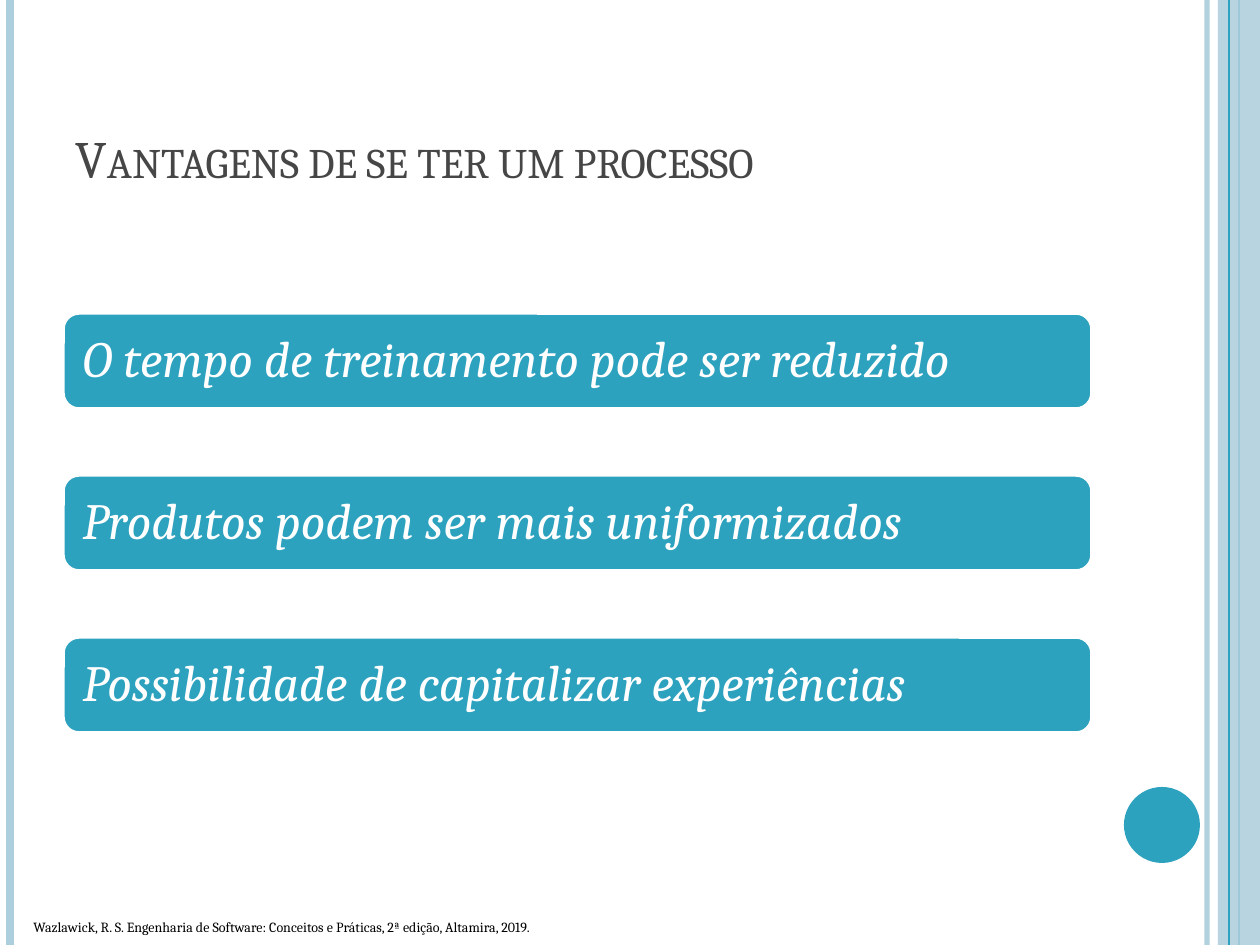
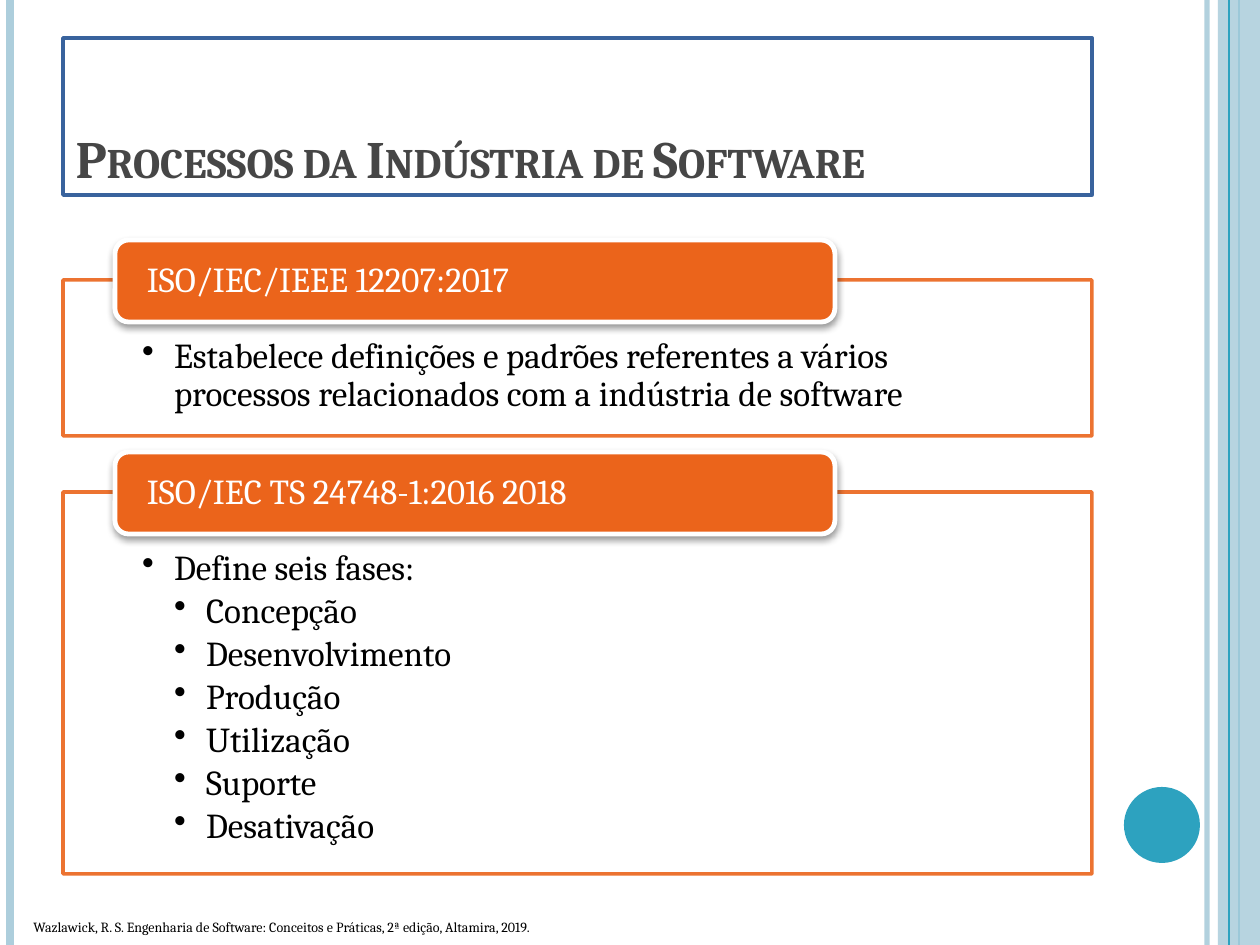
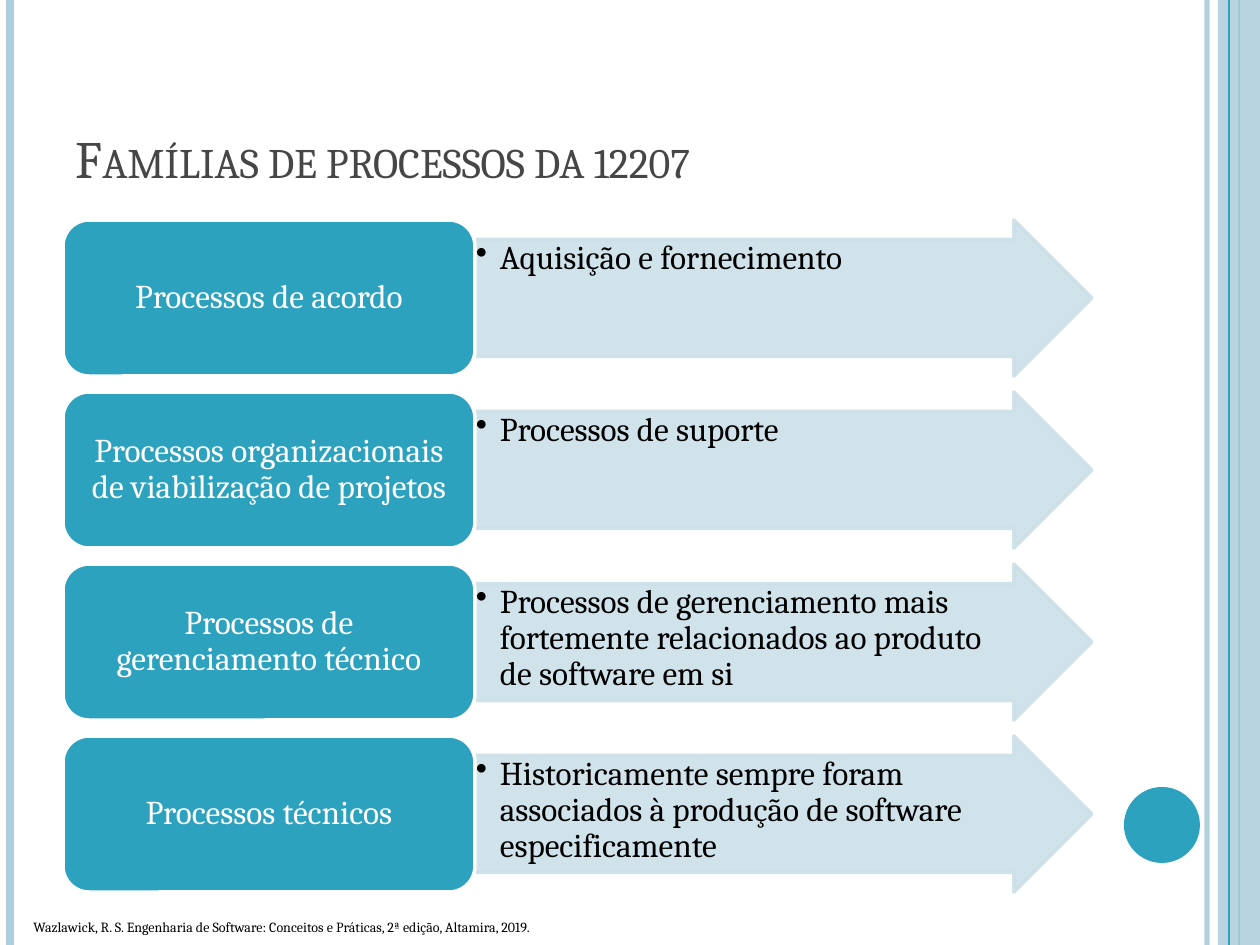
from lxml import etree
from pptx import Presentation
from pptx import util as u
from pptx.dml import color
from pptx.enum import shapes, text
from pptx.oxml import ns

PX_PER_INCH = 126
W, H = 1260, 945
FONT = "Cambria"
TEAL, PALE, ARROW, ORANGE = "2DA2BF", "ADCEDC", "CDE0E8", "EB641B"
WHITE, BLACK, GREY, BLUE = "FFFFFF", "000000", "464646", "39639D"
LEFT, WIDTH = 63, 1029  # content column shared by titles and diagrams
SOURCE = ("Wazlawick, R. S. Engenharia de Software: Conceitos e Práticas, "
          "2ª edição, Altamira, 2019.")
KIND = shapes.MSO_SHAPE
ALIGN = text.PP_ALIGN
ANCHOR = text.MSO_ANCHOR


def px(n):
    return u.Emu(round(n * u.Inches(1) / PX_PER_INCH))


def rgb(value):
    return color.RGBColor.from_string(value)


def sub(parent, tag, **attrs):
    """Append a DrawingML child with the given attributes."""
    el = etree.SubElement(parent, ns.qn(tag))
    for name, value in attrs.items():
        el.set(name, str(value))
    return el


def set_alpha(sp, percent):
    """Apply one opacity to the fill and line colours of a shape."""
    for clr in sp.element.spPr.iter(ns.qn("a:srgbClr")):
        sub(clr, "a:alpha", val=percent * 1000)


def write(sp, items, size=20, ink=BLACK, bold=False, italic=False, small=False,
          align=ALIGN.LEFT, anchor=ANCHOR.TOP, inset=None, indent=0,
          spacing=None, after=0, wrap=True):
    """Fill a shape with text; items are strings or (string, level) pairs."""
    tf = sp.text_frame
    tf.word_wrap = wrap
    tf.auto_size = text.MSO_AUTO_SIZE.NONE
    tf.vertical_anchor = anchor
    if inset:
        (tf.margin_left, tf.margin_top,
         tf.margin_right, tf.margin_bottom) = map(px, inset)
    for i, item in enumerate([items] if isinstance(items, str) else items):
        words, level = item if isinstance(item, tuple) else (item, 1)
        p = tf.add_paragraph() if i else tf.paragraphs[0]
        p.alignment = align
        p.line_spacing = spacing
        p.space_after = u.Pt(after)
        if indent:  # bulleted paragraph
            pPr = p._p.get_or_add_pPr()
            pPr.set("marL", str(px(indent * level)))
            pPr.set("indent", str(-px(indent)))
            sub(pPr, "a:buChar", char="•")
        r = p.add_run()
        r.text = words
        f = r.font
        f.name, f.size, f.bold, f.italic = FONT, u.Pt(size), bold, italic
        f.color.rgb = rgb(ink)
        if small:
            r._r.get_or_add_rPr().set("cap", "small")


class Deck:
    def __init__(self):
        self.prs = Presentation()
        self.prs.slide_width, self.prs.slide_height = px(W), px(H)
        self.s = None

    def slide(self, title, bold=False, frame=None):
        """Start a slide with its title and the shared decoration."""
        self.s = self.prs.slides.add_slide(self.prs.slide_layouts[5])
        sp = self.s.shapes.title
        sp.left, sp.top, sp.width, sp.height = map(px, (LEFT, 38, WIDTH, 157))
        if frame:
            self.paint(sp, WHITE, frame, 2)
        write(sp, title, size=30, ink=GREY, bold=bold, small=True,
              anchor=ANCHOR.BOTTOM)
        # Side bands
        self.rule(1207, PALE, 3, alpha=93)
        self.rule(10, PALE, 4.5)
        self.rule(1239, TEAL, 1.5)
        self.shape(KIND.RECTANGLE, 1218, 0, 42, H, PALE, alpha=87)
        self.rule(1229, TEAL, 0.75)
        # Disc and footer
        self.shape(KIND.OVAL, 1124, 787, 76, 76, TEAL)
        box = self.s.shapes.add_textbox(*map(px, (21, 912, 609, 30)))
        write(box, SOURCE, size=8, wrap=False)

    def paint(self, sp, fill, line=None, weight=2):
        sp.fill.solid()
        sp.fill.fore_color.rgb = rgb(fill)
        if line:
            sp.line.color.rgb = rgb(line)
            sp.line.width = u.Pt(weight)
        else:
            sp.line.fill.background()

    def rule(self, x, ink, weight, alpha=None):
        """Vertical line over the full slide height."""
        c = self.s.shapes.add_connector(
            shapes.MSO_CONNECTOR.STRAIGHT, px(x), 0, px(x), px(H))
        c.line.color.rgb = rgb(ink)
        c.line.width = u.Pt(weight)
        sub(c.element.spPr, "a:effectLst")
        if alpha:
            set_alpha(c, alpha)

    def shape(self, kind, x, y, w, h, fill, line=None, weight=2,
              alpha=None, shadow=False):
        sp = self.s.shapes.add_shape(kind, *map(px, (x, y, w, h)))
        self.paint(sp, fill, line, weight)
        if alpha:
            set_alpha(sp, alpha)
        sp.shadow.inherit = False
        if shadow:
            effects = sp.element.spPr.find(ns.qn("a:effectLst"))
            outer = sub(effects, "a:outerShdw", blurRad=u.Pt(4), dist=u.Pt(2),
                        dir=90 * 60000, rotWithShape=0)
            sub(sub(outer, "a:srgbClr", val=BLACK), "a:alpha", val=40000)
        return sp

    def bar(self, y, words):
        sp = self.shape(KIND.ROUNDED_RECTANGLE, LEFT, y, WIDTH, 96, TEAL, WHITE)
        write(sp, words, size=29, ink=WHITE, italic=True, spacing=0.9,
              anchor=ANCHOR.MIDDLE, inset=(15, 15, 15, 15))

    def standard(self, y, h, name, points):
        """Framed list with a heading tab over its top edge."""
        body = self.shape(KIND.RECTANGLE, LEFT, y, WIDTH, h, WHITE, ORANGE,
                          alpha=90)
        write(body, points, spacing=0.9, after=3, indent=32,
              inset=(79, 58, 79, 20))
        tab = self.shape(KIND.ROUNDED_RECTANGLE, 115, y - 40, 720, 82, ORANGE,
                         WHITE, 2.75, shadow=True)
        write(tab, name, ink=WHITE, spacing=0.9, anchor=ANCHOR.MIDDLE,
              inset=(28, 0, 28, 0))

    def family(self, y, name, detail):
        """Name block followed by an arrow with its description."""
        block_w, h = 412, 156
        arrow = self.shape(KIND.RIGHT_ARROW, LEFT + block_w, y,
                           WIDTH - block_w, h, ARROW, ARROW, alpha=90)
        arrow.adjustments[0], arrow.adjustments[1] = 0.75, 0.5
        write(arrow, detail, size=19, spacing=0.9, indent=24,
              inset=(1, 1, 39, 1))
        block = self.shape(KIND.ROUNDED_RECTANGLE, LEFT, y, block_w, h, TEAL,
                           WHITE)
        write(block, name, size=19, ink=WHITE, spacing=0.9, align=ALIGN.CENTER,
              anchor=ANCHOR.MIDDLE, inset=(10, 5, 10, 5))


def main():
    deck = Deck()

    # Advantages
    deck.slide("Vantagens de se ter um processo")
    for i, words in enumerate(("O tempo de treinamento pode ser reduzido",
                               "Produtos podem ser mais uniformizados",
                               "Possibilidade de capitalizar experiências")):
        deck.bar(313 + 162 * i, words)

    # Industry standards
    deck.slide("Processos da Indústria de Software", bold=True, frame=BLUE)
    deck.standard(280, 156, "ISO/IEC/IEEE 12207:2017",
                  "Estabelece definições e padrões referentes a vários "
                  "processos relacionados com a indústria de software")
    phases = ("Concepção", "Desenvolvimento", "Produção", "Utilização",
              "Suporte", "Desativação")
    deck.standard(492, 382, "ISO/IEC TS 24748-1:2016 2018",
                  ["Define seis fases:"] + [(phase, 2) for phase in phases])

    # Process families
    deck.slide("Famílias de processos da 12207")
    families = (
        ("Processos de acordo", "Aquisição e fornecimento"),
        ("Processos organizacionais de viabilização de projetos",
         "Processos de suporte"),
        ("Processos de gerenciamento técnico",
         "Processos de gerenciamento mais fortemente relacionados ao produto "
         "de software em si"),
        ("Processos técnicos",
         "Historicamente sempre foram associados à produção de software "
         "especificamente"),
    )
    for i, (name, detail) in enumerate(families):
        deck.family(220 + 172 * i, name, detail)

    deck.prs.save("out.pptx")


if __name__ == "__main__":
    main()
